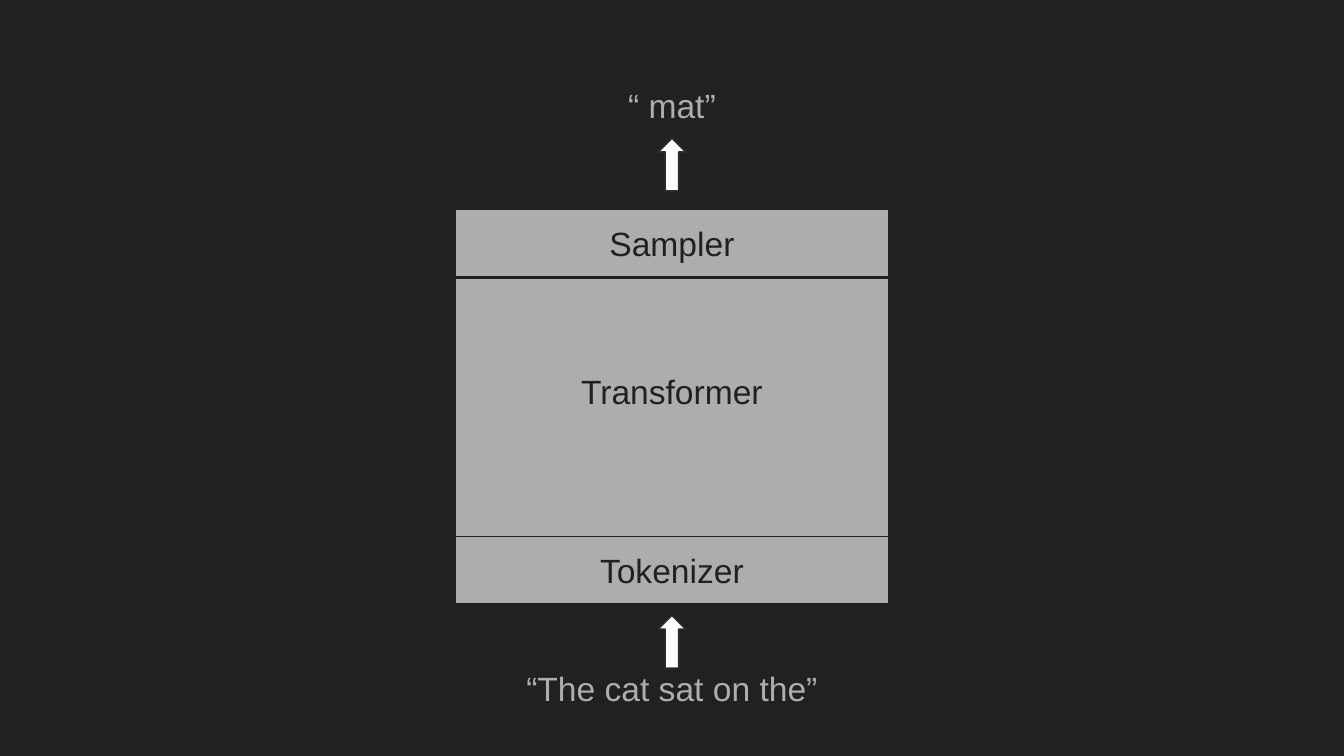
from pptx import Presentation
from pptx.dml.color import RGBColor
from pptx.enum.shapes import MSO_SHAPE
from pptx.enum.text import MSO_ANCHOR, PP_ALIGN
from pptx.util import Inches, Pt

# Content: (label, top, height, space above the label)
LAYERS = [
    ("Sampler", 1.56, 0.5, 0.1),
    ("Tokenizer", 3.99, 0.5, 0.1),
    ("Transformer", 2.07, 1.92, 0.69),
]
# (text, text top, top of its arrow)
TOKENS = [
    ("“The cat sat on the”", 4.87, 4.58),
    ("“ mat”", 0.53, 1.03),
]

COLORS = {"dark": "212121", "gray": "ADADAD", "white": "FFFFFF", "outline": "303030"}
FONT, FONT_SIZE = "Arial", 18
SLIDE_WIDTH = 10
SLIDE_HEIGHT = SLIDE_WIDTH * 9 / 16
LAYER_WIDTH = 3.23
TOKEN_WIDTH, TOKEN_HEIGHT = 2.77, 0.6
ARROW_WIDTH, ARROW_HEIGHT = 0.2, 0.39
INSET = 0.1


def color(name):
    return RGBColor.from_string(COLORS[name])


def centered(top, width, height):
    """Place a part on the vertical axis of the slide."""
    return [Inches(value) for value in ((SLIDE_WIDTH - width) / 2, top, width, height)]


def add_text(shape, text, color_name, top_inset=INSET):
    frame = shape.text_frame
    frame.word_wrap = True
    frame.vertical_anchor = MSO_ANCHOR.TOP
    frame.margin_left = frame.margin_right = frame.margin_bottom = Inches(INSET)
    frame.margin_top = Inches(top_inset)
    paragraph = frame.paragraphs[0]
    paragraph.alignment = PP_ALIGN.CENTER
    run = paragraph.add_run()
    run.text = text
    run.font.name = FONT
    run.font.size = Pt(FONT_SIZE)
    run.font.color.rgb = color(color_name)


def add_block(slide, kind, box, fill, line):
    shape = slide.shapes.add_shape(kind, *box)
    shape.shadow.inherit = False
    shape.fill.solid()
    shape.fill.fore_color.rgb = color(fill)
    shape.line.color.rgb = color(line)
    shape.line.width = Pt(0.75)
    return shape


def main():
    presentation = Presentation()
    presentation.slide_width = Inches(SLIDE_WIDTH)
    presentation.slide_height = Inches(SLIDE_HEIGHT)
    slide = presentation.slides.add_slide(presentation.slide_layouts[6])
    slide.background.fill.solid()
    slide.background.fill.fore_color.rgb = color("dark")

    # Input and output tokens with their arrows
    for text, text_top, arrow_top in TOKENS:
        label = slide.shapes.add_textbox(*centered(text_top, TOKEN_WIDTH, TOKEN_HEIGHT))
        add_text(label, text, "gray")
        add_block(slide, MSO_SHAPE.UP_ARROW,
                  centered(arrow_top, ARROW_WIDTH, ARROW_HEIGHT), "white", "outline")

    # Model layers
    for text, top, height, top_inset in LAYERS:
        layer = add_block(slide, MSO_SHAPE.RECTANGLE,
                          centered(top, LAYER_WIDTH, height), "gray", "dark")
        add_text(layer, text, "dark", top_inset)

    presentation.save("out.pptx")


if __name__ == "__main__":
    main()
